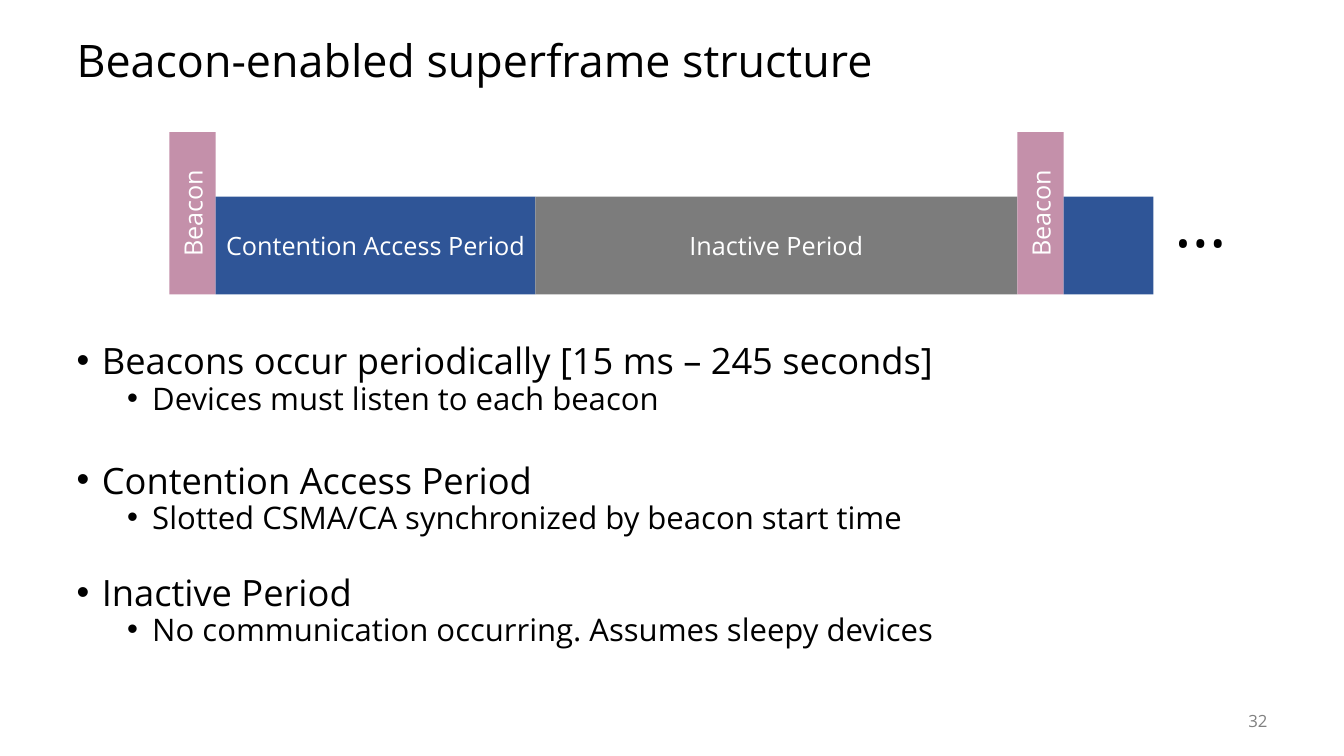
from pptx import Presentation
from pptx.dml.color import RGBColor
from pptx.enum.shapes import MSO_SHAPE
from pptx.enum.text import MSO_ANCHOR, MSO_AUTO_SIZE, PP_ALIGN
from pptx.util import Inches, Pt
from lxml import etree

RECT = MSO_SHAPE.RECTANGLE
MIDDLE, TOP = MSO_ANCHOR.MIDDLE, MSO_ANCHOR.TOP
LEFT, CENTER, RIGHT = PP_ALIGN.LEFT, PP_ALIGN.CENTER, PP_ALIGN.RIGHT
FIXED = MSO_AUTO_SIZE.NONE

# Content
TITLE = "Beacon-enabled superframe structure"
NUMBER = "32"
MORE = "…"
# Superframe parts, left to right: kind, label, width
PARTS = [
    ("beacon", "Beacon", 0.46),
    ("access", "Contention Access Period", 3.17),
    ("idle", "Inactive Period", 4.78),
    ("beacon", "Beacon", 0.46),
    ("access", "", 0.89),
]
# Body lines: level, text, space before in points
POINTS = [
    (0, "Beacons occur periodically [15 ms – 245 seconds]", 0),
    (1, "Devices must listen to each beacon", 3.3),
    (0, "Contention Access Period", 35.8),
    (1, "Slotted CSMA/CA synchronized by beacon start time", 3.3),
    (0, "Inactive Period", 30.8),
    (1, "No communication occurring. Assumes sleepy devices", 3.3),
]


class Theme:
    font = "Open Sans"
    ink, white, faint = "000000", "FFFFFF", "808080"
    fills = {"beacon": "C490AA", "access": "2F5597", "idle": "7C7C7C"}
    title, label, number, more = 32, 18, 12, 48
    levels = (25.9, 22.2)


# Layout
START, BASE = 1.68, 2.92
TALL, SHORT = 1.61, 0.97
INDENTS = (0.25, 0.75)
HANG = 0.25


def style(para, size, color, align=LEFT):
    para.alignment = align
    for run in para.runs:
        run.font.name = Theme.font
        run.font.size = Pt(size)
        run.font.color.rgb = RGBColor.from_string(color)


def place(shape, left, top, width, height):
    shape.left, shape.top = Inches(left), Inches(top)
    shape.width, shape.height = Inches(width), Inches(height)


def bullet(para, indent):
    props = para._p.get_or_add_pPr()
    props.set("marL", str(Inches(indent)))
    props.set("indent", str(-Inches(HANG)))
    space = props.nsmap["a"]
    etree.SubElement(props, f"{{{space}}}buFont", typeface="Arial")
    etree.SubElement(props, f"{{{space}}}buChar", char="•")


def add_label(slide, text, box, size, color, align):
    shape = slide.shapes.add_textbox(*map(Inches, box))
    frame = shape.text_frame
    frame.word_wrap = True
    frame.vertical_anchor = MIDDLE
    frame.text = text
    style(frame.paragraphs[0], size, color, align)


def add_part(slide, kind, text, left, width):
    height = TALL if kind == "beacon" else SHORT
    shape = slide.shapes.add_shape(
        RECT, Inches(left), Inches(BASE - height), Inches(width), Inches(height))
    shape.shadow.inherit = False
    shape.fill.solid()
    shape.fill.fore_color.rgb = RGBColor.from_string(Theme.fills[kind])
    shape.line.fill.background()
    if not text:
        return
    frame = shape.text_frame
    frame.margin_left = frame.margin_right = Inches(0.05)
    frame.vertical_anchor = MIDDLE
    frame.text = text
    style(frame.paragraphs[0], Theme.label, Theme.white, CENTER)
    if kind == "beacon":
        frame._txBody.bodyPr.set("vert", "vert270")


def main():
    deck = Presentation()
    deck.slide_width, deck.slide_height = Inches(13.33), Inches(7.5)
    slide = deck.slides.add_slide(deck.slide_layouts[1])

    # Title
    title = slide.shapes.title
    place(title, 0.66, 0.25, 12, 0.75)
    frame = title.text_frame
    frame.auto_size = FIXED
    frame.vertical_anchor = MIDDLE
    frame.text = TITLE
    frame.paragraphs[0].line_spacing = 0.9
    style(frame.paragraphs[0], Theme.title, Theme.ink)

    # Body list
    body = slide.placeholders[1]
    place(body, 0.66, 3.39, 12, 3.36)
    frame = body.text_frame
    frame.auto_size = FIXED
    frame.vertical_anchor = TOP
    frame.text = "\n".join(text for _, text, _ in POINTS)
    for para, (level, _, gap) in zip(frame.paragraphs, POINTS):
        para.level = level
        para.line_spacing = 0.8
        para.space_before = Pt(gap)
        style(para, Theme.levels[level], Theme.ink)
        bullet(para, INDENTS[level])

    # Superframe diagram
    left = START
    for kind, text, width in PARTS:
        add_part(slide, kind, text, left, width)
        left += width
    add_label(slide, MORE, (11.55, 1.73, 1.03, 0.91), Theme.more, Theme.ink, LEFT)

    # Slide number
    add_label(slide, NUMBER, (11.67, 6.95, 1, 0.4), Theme.number, Theme.faint, RIGHT)

    deck.save("out.pptx")


if __name__ == "__main__":
    main()
